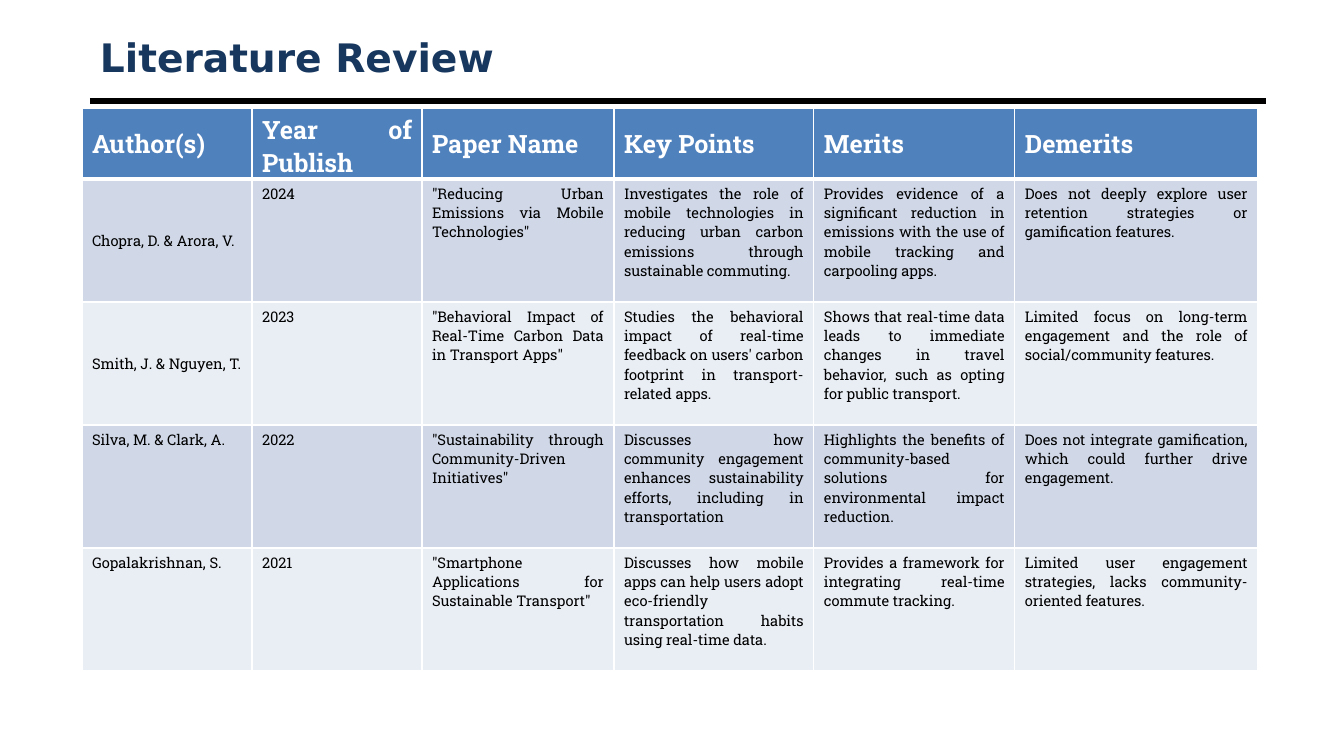
from lxml.etree import SubElement as Sub
from pptx import Presentation
from pptx.dml.color import RGBColor
from pptx.enum.shapes import MSO_CONNECTOR as Link
from pptx.enum.text import MSO_ANCHOR as Anchor, PP_ALIGN as Align
from pptx.oxml.ns import qn
from pptx.util import Emu, Pt

PX = 914400 / 100.8
NAVY = RGBColor(0x17, 0x37, 0x5E)
BLACK = RGBColor(0, 0, 0)
WHITE = RGBColor(0xFF, 0xFF, 0xFF)
BLUE = RGBColor(0x4F, 0x81, 0xBD)
BANDS = RGBColor(0xD0, 0xD8, 0xE8), RGBColor(0xE9, 0xED, 0xF4)

COLS = 170, 170, 192, 200, 201, 243
HEAD_H, ROW_H = 71, 123
HEADS = "Author(s)", "Year of Publish", "Paper Name", "Key Points", "Merits", "Demerits"
PAPERS = [
    ("Chopra, D. & Arora, V.", "2024",
     '"Reducing Urban Emissions via Mobile Technologies"',
     "Investigates the role of mobile technologies in reducing urban carbon emissions through sustainable commuting.",
     "Provides evidence of a significant reduction in emissions with the use of mobile tracking and carpooling apps.",
     "Does not deeply explore user retention strategies or gamification features."),
    ("Smith, J. & Nguyen, T.", "2023",
     '"Behavioral Impact of Real-Time Carbon Data in Transport Apps"',
     "Studies the behavioral impact of real-time feedback on users' carbon footprint in transport-related apps.",
     "Shows that real-time data leads to immediate changes in travel behavior, such as opting for public transport.",
     "Limited focus on long-term engagement and the role of social/community features."),
    ("Silva, M. & Clark, A.", "2022",
     '"Sustainability through Community-Driven Initiatives"',
     "Discusses how community engagement enhances sustainability efforts, including in transportation",
     "Highlights the benefits of community-based solutions for environmental impact reduction.",
     "Does not integrate gamification, which could further drive engagement."),
    ("Gopalakrishnan, S.", "2021",
     '"Smartphone Applications for Sustainable Transport"',
     "Discusses how mobile apps can help users adopt eco-friendly transportation habits using real-time data.",
     "Provides a framework for integrating real-time commute tracking.",
     "Limited user engagement strategies, lacks community-oriented features."),
]


def px(n):
    """Turn pixels into EMU."""
    return Emu(round(n * PX))


def write(par, text, face, size, color, bold):
    """Add one styled run to a paragraph."""
    run = par.add_run()
    run.text = text
    font = run.font
    font.name, font.size, font.bold = face, Pt(size), bold
    font.color.rgb = color


def edge(cell):
    """Give a header cell white borders with a thick bottom."""
    props = cell._tc.get_or_add_tcPr()
    for side, width in ("L", 1), ("R", 1), ("T", 1), ("B", 3):
        line = Sub(props, qn(f"a:ln{side}"), w=str(Pt(width)))
        fill = Sub(line, qn("a:solidFill"))
        Sub(fill, qn("a:srgbClr"), val=str(WHITE))


def add_title(slide, x, y, w, h):
    """Place the title and the rule below it."""
    rule_y = y + h + 18
    rule = slide.shapes.add_connector(
        Link.STRAIGHT, px(x), px(rule_y), px(x + w), px(rule_y))
    rule.line.color.rgb, rule.line.width = BLACK, Pt(4.5)
    Sub(rule._element.spPr, qn("a:effectLst"))
    frame = slide.shapes.add_textbox(px(x), px(y), px(w), px(h)).text_frame
    frame.word_wrap = True
    frame.vertical_anchor = Anchor.MIDDLE
    write(frame.paragraphs[0], "Literature Review", "DejaVu Sans", 28, NAVY, True)


def add_grid(slide, x, y):
    """Place the table of reviewed papers."""
    rows = [HEADS, *PAPERS]
    high = HEAD_H + ROW_H * len(PAPERS)
    grid = slide.shapes.add_table(
        len(rows), len(COLS), px(x), px(y), px(sum(COLS)), px(high)).table
    for col, width in zip(grid.columns, COLS):
        col.width = px(width)
    for r, texts in enumerate(rows):
        head = r == 0
        grid.rows[r].height = px(HEAD_H if head else ROW_H)
        for c, text in enumerate(texts):
            cell = grid.cell(r, c)
            if head:
                edge(cell)
            cell.fill.solid()
            cell.fill.fore_color.rgb = BLUE if head else BANDS[(r - 1) % 2]
            middle = head or (c == 0 and r < 3)
            cell.vertical_anchor = Anchor.MIDDLE if middle else Anchor.TOP
            par = cell.text_frame.paragraphs[0]
            par.alignment = Align.JUSTIFY
            write(par, text, "Roboto Slab", 18 if head else 10.5,
                  WHITE if head else BLACK, head)


def main():
    """Build and save the slide."""
    deck = Presentation()
    deck.slide_width, deck.slide_height = px(1344), px(756)
    slide = deck.slides.add_slide(deck.slide_layouts[6])
    add_title(slide, 90, 30, 1176, 53)
    add_grid(slide, 82, 108)
    deck.save("out.pptx")


if __name__ == "__main__":
    main()
